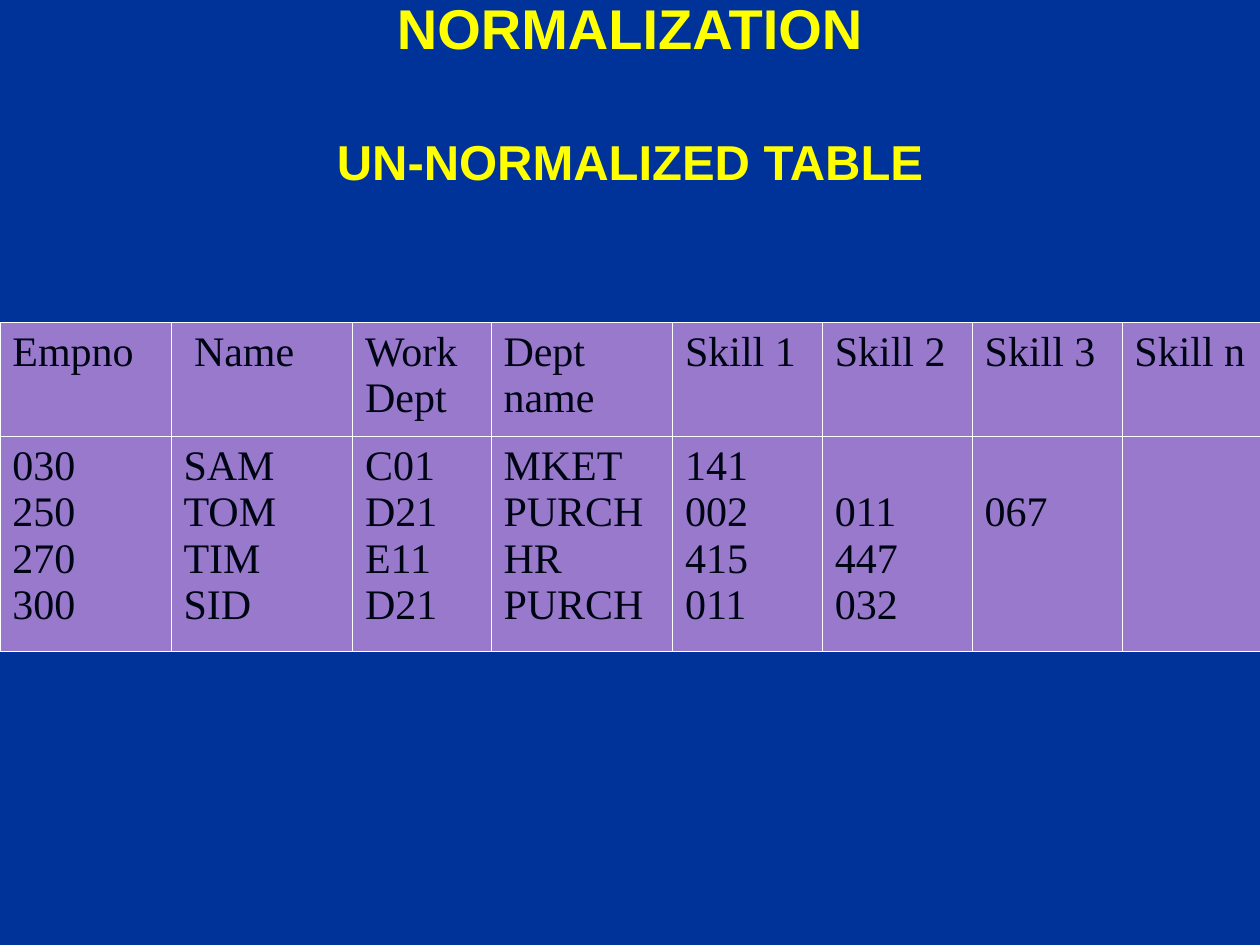
from dataclasses import dataclass

from lxml.etree import SubElement
from pptx import Presentation
from pptx.dml.color import RGBColor
from pptx.enum.text import MSO_ANCHOR as Anchor, MSO_AUTO_SIZE as AutoSize, PP_ALIGN as Align
from pptx.oxml.ns import qn
from pptx.util import Cm, Pt


@dataclass(frozen=True)
class Theme:
    background: str = "003399"
    heading: str = "FFFF00"
    cell: str = "9879CB"
    cell_text: str = "000514"
    border: str = "FFFFFF"
    heading_font: str = "Arial"
    table_font: str = "Times New Roman"
    title_size: int = 32
    subtitle_size: int = 28
    table_size: int = 24
    border_width: float = 0.45


THEME = Theme()
SLIDE_WIDTH, SLIDE_HEIGHT = 25.4, 19.05
COLUMN_WIDTHS = (3.45, 3.66, 2.79, 3.66, 3.02, 3.02, 3.02, 2.79)
ROW_HEIGHTS = (2.3, 4.33)
INSET_X, INSET_Y = 0.25, 0.13
LINE_HEIGHT = 0.94

HEADERS = (["Empno"], [" Name"], ["Work", "Dept"], ["Dept", "name"],
           ["Skill 1"], ["Skill 2"], ["Skill 3"], ["Skill n"])
EMPLOYEES = (
    ["030", "250", "270", "300"],
    ["SAM", "TOM", "TIM", "SID"],
    ["C01", "D21", "E11", "D21"],
    ["MKET", "PURCH", "HR", "PURCH"],
    ["141", "002", "415", "011"],
    ["", "011", "447", "032"],
    ["", "067"],
    [],
)


def add_run(paragraph, text, font_name, size, color, bold=False):
    run = paragraph.add_run()
    run.text = text
    run.font.name = font_name
    run.font.size = Pt(size)
    run.font.bold = bold
    run.font.color.rgb = RGBColor.from_string(color)


def set_insets(area, top=INSET_Y):
    area.margin_left = area.margin_right = Cm(INSET_X)
    area.margin_top, area.margin_bottom = Cm(top), Cm(INSET_Y)


def place_heading(shape, box, text, size):
    shape.left, shape.top, shape.width, shape.height = map(Cm, box)
    frame = shape.text_frame
    frame.word_wrap = True
    frame.auto_size = AutoSize.SHAPE_TO_FIT_TEXT
    frame.vertical_anchor = Anchor.TOP
    set_insets(frame)
    paragraph = frame.paragraphs[0]
    paragraph.alignment = Align.CENTER
    paragraph.line_spacing = 0.8
    paragraph.space_before = Pt(size * 0.625)
    add_run(paragraph, text, THEME.heading_font, size, THEME.heading, bold=True)


def add_borders(cell):
    properties = cell._tc.get_or_add_tcPr()
    for side in ("a:lnL", "a:lnR", "a:lnT", "a:lnB"):
        line = SubElement(properties, qn(side), w=str(Pt(THEME.border_width)))
        fill = SubElement(line, qn("a:solidFill"))
        SubElement(fill, qn("a:srgbClr"), val=THEME.border)


def fill_cell(cell, values):
    add_borders(cell)
    cell.fill.solid()
    cell.fill.fore_color.rgb = RGBColor.from_string(THEME.cell)
    lines = [value for value in values if value]
    set_insets(cell, INSET_Y + LINE_HEIGHT * (len(values) - len(lines)))
    frame = cell.text_frame
    for index, value in enumerate(lines):
        paragraph = frame.add_paragraph() if index else frame.paragraphs[0]
        add_run(paragraph, value, THEME.table_font, THEME.table_size, THEME.cell_text)


def add_employee_table(slide, left, top):
    shape = slide.shapes.add_table(
        len(ROW_HEIGHTS), len(COLUMN_WIDTHS), Cm(left), Cm(top),
        Cm(sum(COLUMN_WIDTHS)), Cm(sum(ROW_HEIGHTS)))
    table = shape.table
    table.first_row = table.horz_banding = False
    for column, width in zip(table.columns, COLUMN_WIDTHS):
        column.width = Cm(width)
    for row, height, contents in zip(table.rows, ROW_HEIGHTS, (HEADERS, EMPLOYEES)):
        row.height = Cm(height)
        for cell, values in zip(row.cells, contents):
            fill_cell(cell, values)


def build_normalization_slide(presentation):
    slide = presentation.slides.add_slide(presentation.slide_layouts[0])
    slide.background.fill.solid()
    slide.background.fill.fore_color.rgb = RGBColor.from_string(THEME.background)
    title, subtitle = slide.placeholders
    place_heading(title, (0, 0, SLIDE_WIDTH, 1.35), "NORMALIZATION", THEME.title_size)
    place_heading(subtitle, (0, 2.74, SLIDE_WIDTH, 1.22), "UN-NORMALIZED TABLE",
                  THEME.subtitle_size)
    add_employee_table(slide, 0, 6.5)


def main():
    presentation = Presentation()
    presentation.slide_width, presentation.slide_height = Cm(SLIDE_WIDTH), Cm(SLIDE_HEIGHT)
    build_normalization_slide(presentation)
    presentation.save("out.pptx")


if __name__ == "__main__":
    main()
